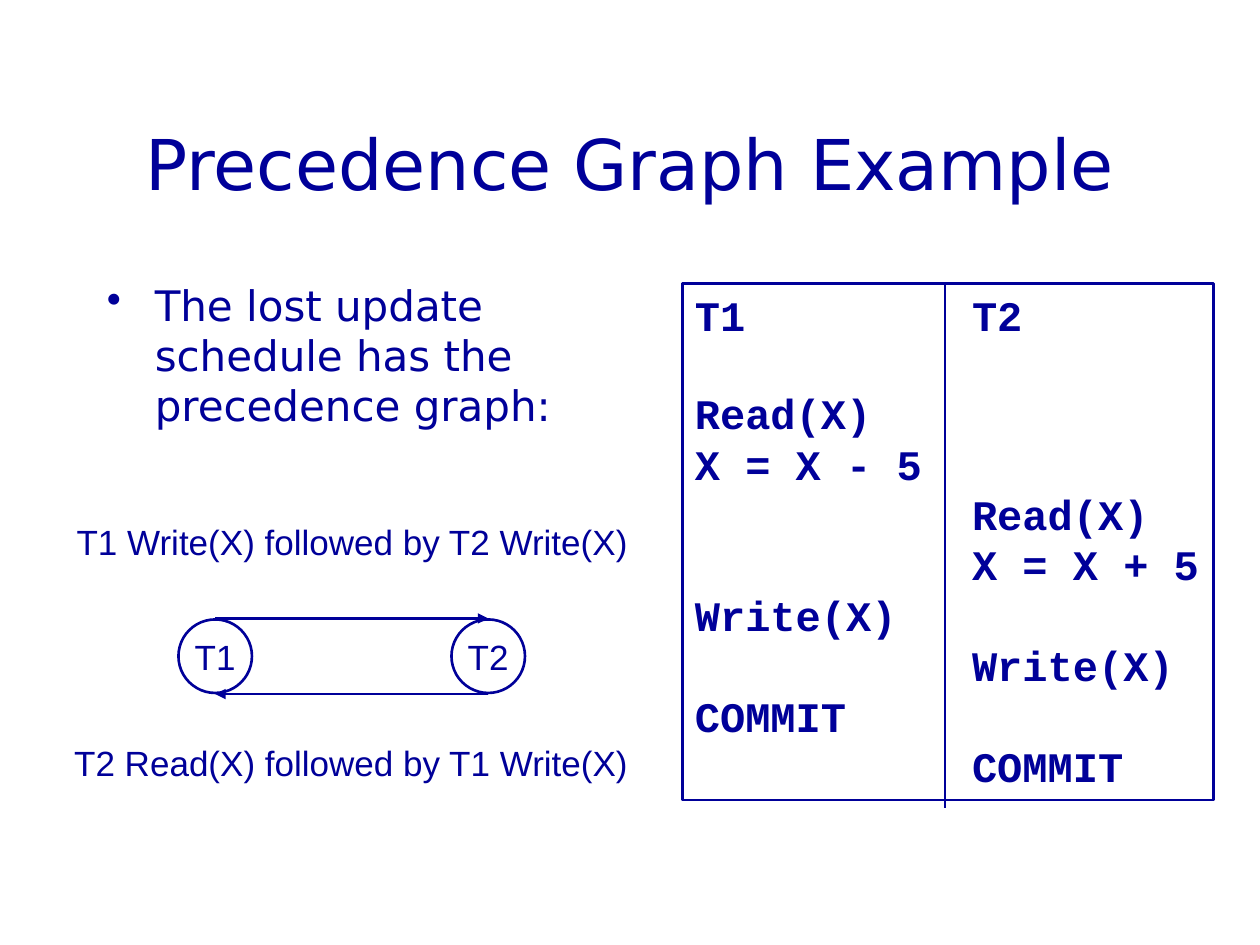
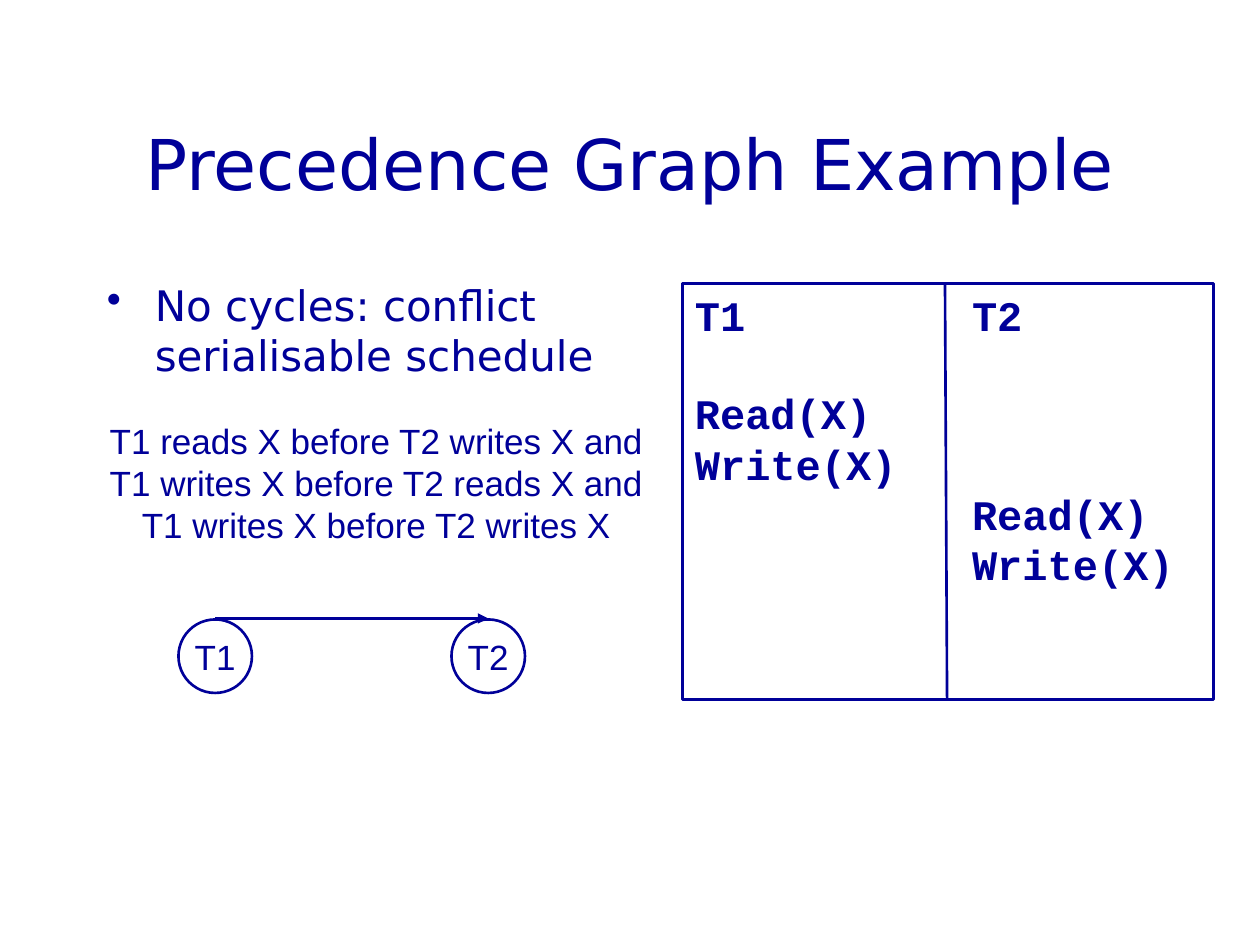
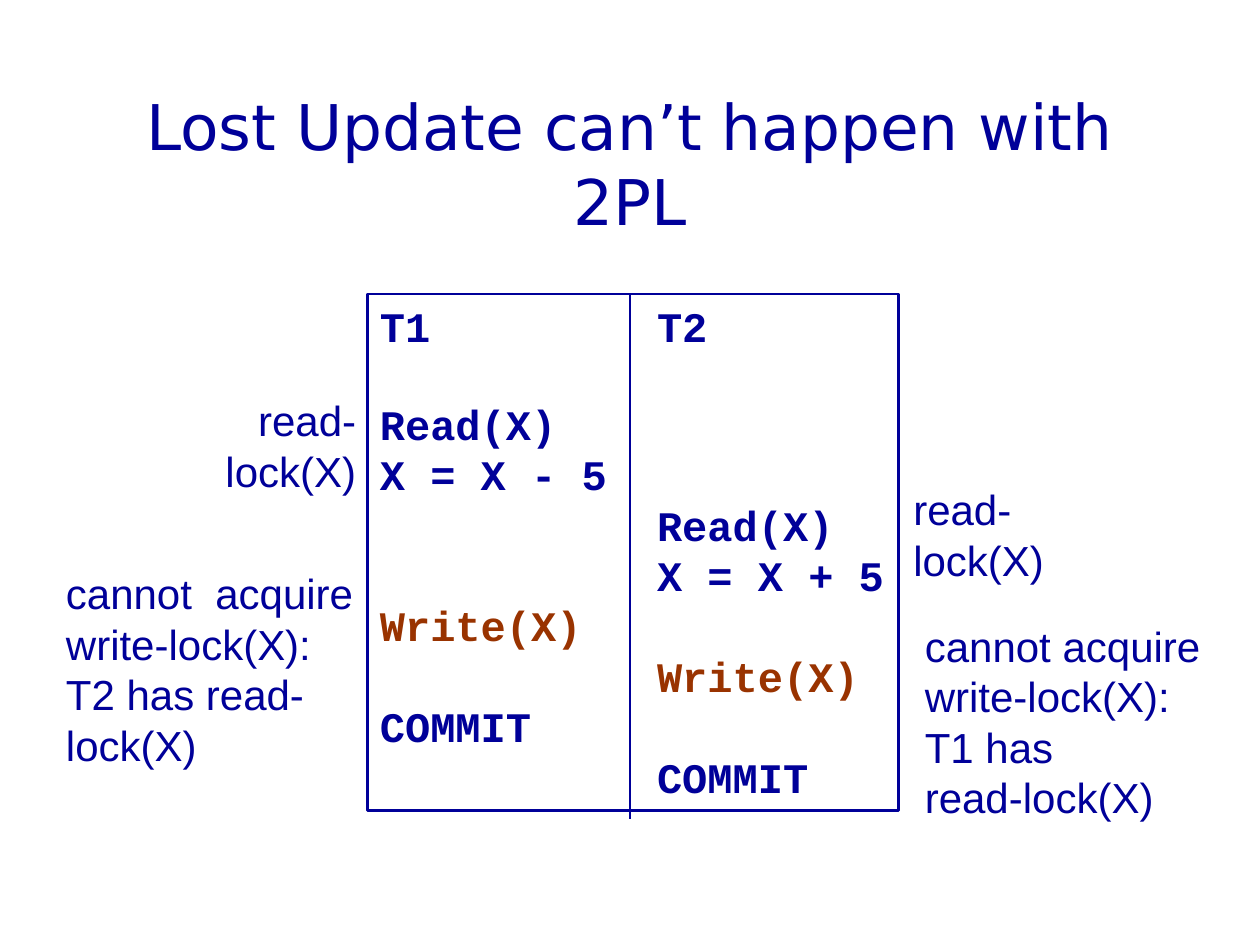
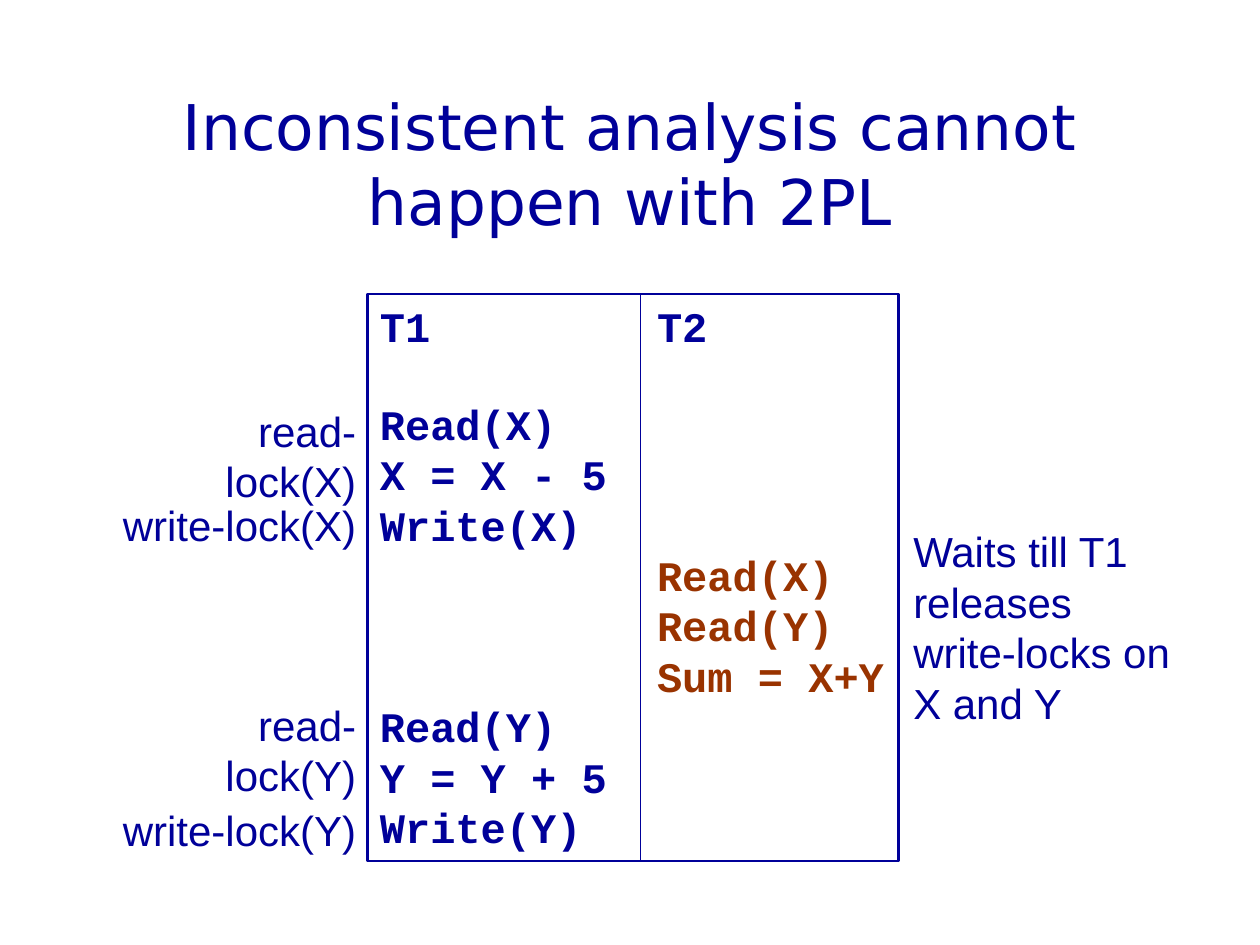
from lxml import etree
from pptx import Presentation
from pptx import util as u
from pptx.dml.color import RGBColor
from pptx.enum import shapes, text
from pptx.oxml import ns

# Shared look
NAVY = RGBColor(0x00, 0x00, 0x99)
RUST = RGBColor(0x99, 0x33, 0x00)
WHITE = RGBColor(0xFF, 0xFF, 0xFF)
HEADING_FONT, LABEL_FONT, CODE_FONT = "DejaVu Sans", "Arial", "Courier New"
LEFT, CENTER, RIGHT = text.PP_ALIGN.LEFT, text.PP_ALIGN.CENTER, text.PP_ALIGN.RIGHT
MIDDLE, TOP = text.MSO_ANCHOR.MIDDLE, text.MSO_ANCHOR.TOP

# Grid: 120 columns by 90 rows of equal square cells
SLIDE_WIDTH, SLIDE_HEIGHT = u.Inches(10), u.Inches(7.5)
CELL = SLIDE_WIDTH / 120
TITLE_AREA = (9, 8, 102, 15)
BODY_AREA = (9, 26, 50, 54)
SCHEDULE_WIDTH = 50.6
T2_TAB = u.Inches(2.2)
BULLET_INDENT = u.Inches(0.38)
CODE_LINE = u.Pt(27.2)
NODE_TOP, NODE_SIZE, T1_LEFT, T2_LEFT = 59, 7, 17, 43
LABEL_EDGE = 35.1  # right edge of the labels beside T1
LABEL_LEFT = 85.8  # left edge of the labels beside T2

# Schedules: (transaction, operation, colour)
LOST_UPDATE = [
    (1, "Read(X)"), (1, "X = X - 5"), (2, "Read(X)"), (2, "X = X + 5"),
    (1, "Write(X)"), (2, "Write(X)"), (1, "COMMIT"), (2, "COMMIT"),
]
SERIALISABLE = [(1, "Read(X)"), (1, "Write(X)"), (2, "Read(X)"), (2, "Write(X)")]
ANALYSIS = [
    (1, "Read(X)"), (1, "X = X - 5"), (1, "Write(X)"),
    (2, "Read(X)"), (2, "Read(Y)"), (2, "Sum = X+Y"),
    (1, "Read(Y)"), (1, "Y = Y + 5"), (1, "Write(Y)"),
]


def cells(*lengths):
    return [u.Emu(round(length * CELL)) for length in lengths]


def set_values(target, values):
    for name, value in values.items():
        setattr(target, name, value)


def add_span(para, words, font, size, color=NAVY, bold=False):
    span = para.add_run()
    span.text = words
    set_values(span.font, {"name": font, "size": u.Pt(size), "bold": bold})
    span.font.color.rgb = color


def fill_text(box, lines, font, size, align=LEFT, anchor=TOP, wrap=True):
    frame = box.text_frame
    set_values(frame, {"word_wrap": wrap, "vertical_anchor": anchor})
    for index, line in enumerate(lines):
        para = frame.add_paragraph() if index else frame.paragraphs[0]
        para.alignment = align
        add_span(para, line, font, size)


def add_text(page, area, lines, font=LABEL_FONT, size=24, **layout):
    box = page.shapes.add_textbox(*cells(*area))
    fill_text(box, lines, font, size, **layout)
    return box


def add_outline(page, kind, area):
    shape = page.shapes.add_shape(kind, *cells(*area))
    shape.shadow.inherit = False
    shape.fill.background()
    shape.line.color.rgb = NAVY
    shape.line.width = u.Pt(1.5)
    return shape


def add_line(page, start, end, width=1.5, arrow=False):
    line = page.shapes.add_connector(
        shapes.MSO_CONNECTOR.STRAIGHT, *cells(*start, *end))
    line.line.color.rgb = NAVY
    line.line.width = u.Pt(width)
    if arrow:
        etree.SubElement(line.line._get_or_add_ln(), ns.qn("a:tailEnd"), type="triangle")
    etree.SubElement(line._element.spPr, ns.qn("a:effectLst"))


def add_bullet(page, words):
    box = add_text(page, BODY_AREA, [words], HEADING_FONT)
    props = box.text_frame.paragraphs[0]._p.get_or_add_pPr()
    set_values(props, {})
    props.set("marL", str(BULLET_INDENT))
    props.set("indent", str(-BULLET_INDENT))
    etree.SubElement(props, ns.qn("a:buChar"), char="•")


def add_code_line(para, parts):
    """Write (words, colour) parts, with one tab stop for the T2 column."""
    para.alignment = LEFT
    tabs = etree.SubElement(para._p.get_or_add_pPr(), ns.qn("a:tabLst"))
    etree.SubElement(tabs, ns.qn("a:tab"), pos=str(T2_TAB), algn="l")
    for words, color in parts:
        add_span(para, words, CODE_FONT, 24, color, bold=True)


def add_schedule(page, left, top, height, steps, blocked=()):
    box = add_outline(page, shapes.MSO_SHAPE.RECTANGLE,
                      (left, top, SCHEDULE_WIDTH, height))
    frame = box.text_frame
    set_values(frame, {"word_wrap": True, "vertical_anchor": TOP})
    add_code_line(frame.paragraphs[0], [("T1\tT2", NAVY)])
    for index, (transaction, operation) in enumerate(steps):
        para = frame.add_paragraph()
        color = RUST if (transaction, operation) in blocked else NAVY
        indent = "\t" if transaction == 2 else ""
        add_code_line(para, [(indent + operation, color)])
        if index == 0:
            para.space_before = CODE_LINE


def add_graph(page, cyclic):
    """Draw the nodes T1 and T2 with an edge forward and, if cyclic, one back."""
    for name, left in (("T1", T1_LEFT), ("T2", T2_LEFT)):
        node = add_outline(page, shapes.MSO_SHAPE.OVAL,
                           (left, NODE_TOP, NODE_SIZE, NODE_SIZE))
        fill_text(node, [name], LABEL_FONT, 20, CENTER, MIDDLE, wrap=False)
    start, end = (left + NODE_SIZE / 2 for left in (T1_LEFT, T2_LEFT))
    above, below = NODE_TOP - 0.1, NODE_TOP + NODE_SIZE + 0.1
    add_line(page, (start, above), (end, above), arrow=True)
    if cyclic:
        add_line(page, (end, below), (start, below), arrow=True)


def add_lock_label(page, top, words, width):
    add_text(page, (LABEL_EDGE - width, top, width, 6), [words],
             align=RIGHT, wrap=False)


def add_page(deck, title, size):
    page = deck.slides.add_slide(deck.slide_layouts[6])
    page.background.fill.solid()
    page.background.fill.fore_color.rgb = WHITE
    add_text(page, TITLE_AREA, [title], HEADING_FONT, size,
             align=CENTER, anchor=MIDDLE)
    return page


def build_cycle_example(deck):
    page = add_page(deck, "Precedence Graph Example", 40)
    add_bullet(page, "The lost update schedule has the precedence graph:")
    add_schedule(page, 65, 27, 49.2, LOST_UPDATE)
    add_line(page, (90, 27), (90, 77))
    add_graph(page, cyclic=True)
    for area, words in (
        ((6, 49, 55.1, 5.3), "T1 Write(X) followed by T2 Write(X)"),
        ((5.8, 70, 55.3, 5.3), "T2 Read(X) followed by T1 Write(X)"),
    ):
        add_text(page, area, [words], size=20, align=CENTER, wrap=False)


def build_acyclic_example(deck):
    page = add_page(deck, "Precedence Graph Example", 40)
    add_bullet(page, "No cycles: conflict serialisable schedule")
    add_schedule(page, 65, 27, 39.6, SERIALISABLE)
    add_line(page, (90, 27), (90.2, 66.7))
    add_graph(page, cyclic=False)
    add_text(page, (8, 39.4, 55.7, 13.2),
             ["T1 reads X before T2 writes X and T1 writes X before T2 reads X "
              "and T1 writes X before T2 writes X"], size=20, align=CENTER)


def build_lost_update(deck):
    page = add_page(deck, "Lost Update can’t happen with 2PL", 36)
    add_schedule(page, 35, 28, 49.2, LOST_UPDATE,
                 blocked={(1, "Write(X)"), (2, "Write(X)")})
    add_line(page, (60, 28), (60, 78))
    add_lock_label(page, 37, "read-lock(X)", 24.1)
    add_text(page, (5.1, 53.5, 31.2, 20.4),
             ["cannot  acquire", "write-lock(X):", "T2 has read-lock(X)"])
    add_text(page, (LABEL_LEFT, 45.5, 24.1, 6), ["read-lock(X)"], wrap=False)
    add_text(page, (86.9, 58.5, 28.6, 20.4),
             ["cannot acquire", "write-lock(X):", "T1 has", "read-lock(X)"],
             wrap=False)


def build_inconsistent_analysis(deck):
    page = add_page(deck, "Inconsistent analysis cannot happen with 2PL", 36)
    add_schedule(page, 35, 28, 54, ANALYSIS,
                 blocked={step for step in ANALYSIS if step[0] == 2})
    add_line(page, (61, 28), (61, 82), width=0.75)
    for top, words, width in (
        (38, "read-lock(X)", 24.1), (47, "write-lock(X)", 24.6),
        (66, "read-lock(Y)", 24.1), (76, "write-lock(Y)", 24.6),
    ):
        add_lock_label(page, top, words, width)
    add_text(page, (LABEL_LEFT, 49.5, 26.9, 20.4),
             ["Waits till T1", "releases", "write-locks on", "X and Y"],
             wrap=False)


def main():
    deck = Presentation()
    set_values(deck, {"slide_width": SLIDE_WIDTH, "slide_height": SLIDE_HEIGHT})
    build_cycle_example(deck)
    build_acyclic_example(deck)
    build_lost_update(deck)
    build_inconsistent_analysis(deck)
    deck.save("out.pptx")


if __name__ == "__main__":
    main()
